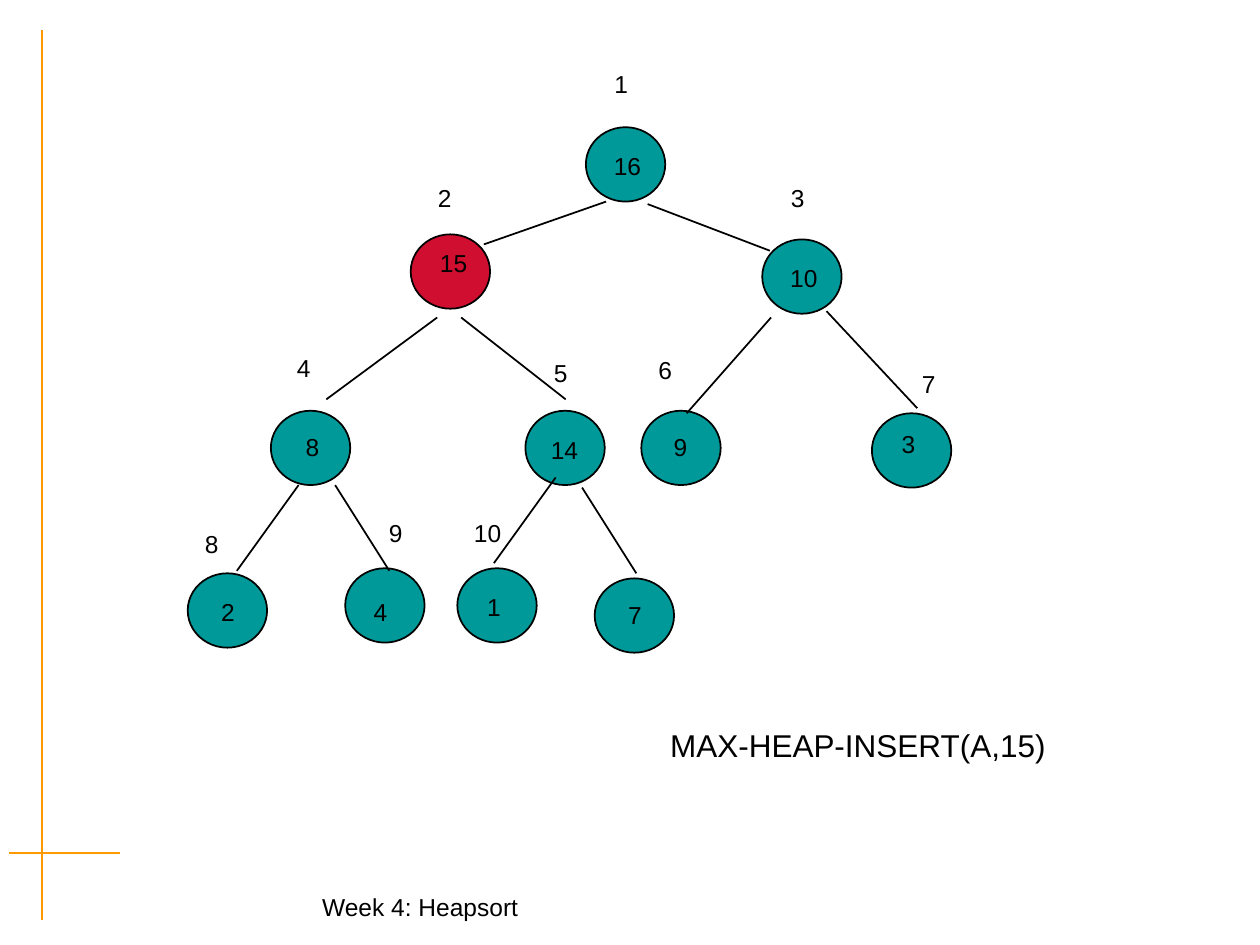
import pptx
import pptx.util
import pptx.dml.color
import pptx.enum.shapes
import pptx.enum.text
import pptx.oxml.ns
import lxml.etree

Inches = pptx.util.Inches
Pt = pptx.util.Pt
RGBColor = pptx.dml.color.RGBColor

BLACK = RGBColor(0x00, 0x00, 0x00)
TEAL = RGBColor(0x00, 0x99, 0x99)
RED = RGBColor(0xCF, 0x0E, 0x30)
ORANGE = RGBColor(0xFF, 0x99, 0x00)

# Heap nodes: key, ellipse (left, top), key text (left, top, width), fill
NODES = [
    ("16", (4.65, 1.01), (4.71, 1.15, 0.54), TEAL),
    ("15", (3.26, 1.86), (3.36, 1.92, 0.48), RED),
    ("10", (6.05, 1.90), (6.11, 2.04, 0.54), TEAL),
    ("8", (2.15, 3.26), (2.21, 3.38, 0.54), TEAL),
    ("14", (4.17, 3.26), (4.21, 3.40, 0.54), TEAL),
    ("9", (5.09, 3.26), (5.13, 3.38, 0.54), TEAL),
    ("3", (6.92, 3.28), (6.94, 3.36, 0.54), TEAL),
    ("2", (1.49, 4.55), (1.54, 4.69, 0.54), TEAL),
    ("4", (2.74, 4.51), (2.75, 4.69, 0.54), TEAL),
    ("1", (3.63, 4.51), (3.65, 4.65, 0.54), TEAL),
    ("7", (4.72, 4.59), (4.77, 4.71, 0.54), TEAL),
]

# Left and top of the array index shown above each node, from 1 on
MARKS = [
    (4.69, 0.50), (3.29, 1.40), (6.09, 1.40), (2.17, 2.75), (4.21, 2.79),
    (5.04, 2.77), (7.13, 2.88), (1.44, 4.15), (2.90, 4.06), (3.63, 4.06),
]

# Parent end and child end of each edge
EDGES = [
    (4.81, 1.60, 3.84, 1.94), (5.14, 1.62, 6.11, 1.99),
    (3.47, 2.52, 2.59, 3.17), (3.66, 2.52, 4.49, 3.17),
    (6.12, 2.52, 5.45, 3.28), (6.56, 2.47, 7.28, 3.24),
    (2.37, 3.85, 1.88, 4.53), (2.66, 3.85, 3.09, 4.53),
    (4.41, 3.79, 3.92, 4.47), (4.62, 3.87, 5.05, 4.55),
]


class Board:
    font = "Arial"
    size = 14
    wide, high = 0.63, 0.59

    def __init__(self, slide):
        self.slide = slide

    def line(self, x1, y1, x2, y2, color=BLACK, width=1):
        link = self.slide.shapes.add_connector(
            pptx.enum.shapes.MSO_CONNECTOR.STRAIGHT,
            Inches(x1), Inches(y1), Inches(x2), Inches(y2))
        link.line.color.rgb = color
        link.line.width = Pt(width)
        lxml.etree.SubElement(link._element.spPr,
                              pptx.oxml.ns.qn("a:effectLst"))

    def node(self, x, y, fill):
        oval = self.slide.shapes.add_shape(
            pptx.enum.shapes.MSO_SHAPE.OVAL,
            Inches(x), Inches(y), Inches(self.wide), Inches(self.high))
        oval.shadow.inherit = False
        oval.fill.solid()
        oval.fill.fore_color.rgb = fill
        oval.line.color.rgb = BLACK
        oval.line.width = Pt(1)

    def text(self, words, x, y, w, h=0.33, size=None):
        box = self.slide.shapes.add_textbox(
            Inches(x), Inches(y), Inches(w), Inches(h))
        frame = box.text_frame
        frame.word_wrap = True
        frame.text = words
        para = frame.paragraphs[0]
        para.alignment = pptx.enum.text.PP_ALIGN.CENTER
        para.font.name = self.font
        para.font.size = Pt(size or self.size)
        para.font.color.rgb = BLACK


def main():
    deck = pptx.Presentation()
    deck.slide_width = Inches(10)
    deck.slide_height = Inches(7.5)
    board = Board(deck.slides.add_slide(deck.slide_layouts[6]))

    # Frame lines and footer
    board.line(0.33, 0.24, 0.33, 7.3, ORANGE, 1.19)
    board.line(0.07, 6.77, 0.95, 6.77, ORANGE, 1.19)
    board.text("Week 4: Heapsort", 0.88, 7.03, 4.91, 0.34)

    # Tree: nodes, then edges, then keys and indexes on top
    for key, spot, place, fill in NODES:
        board.node(*spot, fill)
    for edge in EDGES:
        board.line(*edge)
    for key, spot, place, fill in NODES:
        board.text(key, *place)
    for index, spot in enumerate(MARKS, 1):
        board.text(str(index), *spot, 0.48)

    # Caption
    board.text("MAX-HEAP-INSERT(A,15)", 5.21, 5.71, 3.2, 0.4, 18)

    deck.save("out.pptx")


if __name__ == "__main__":
    main()
